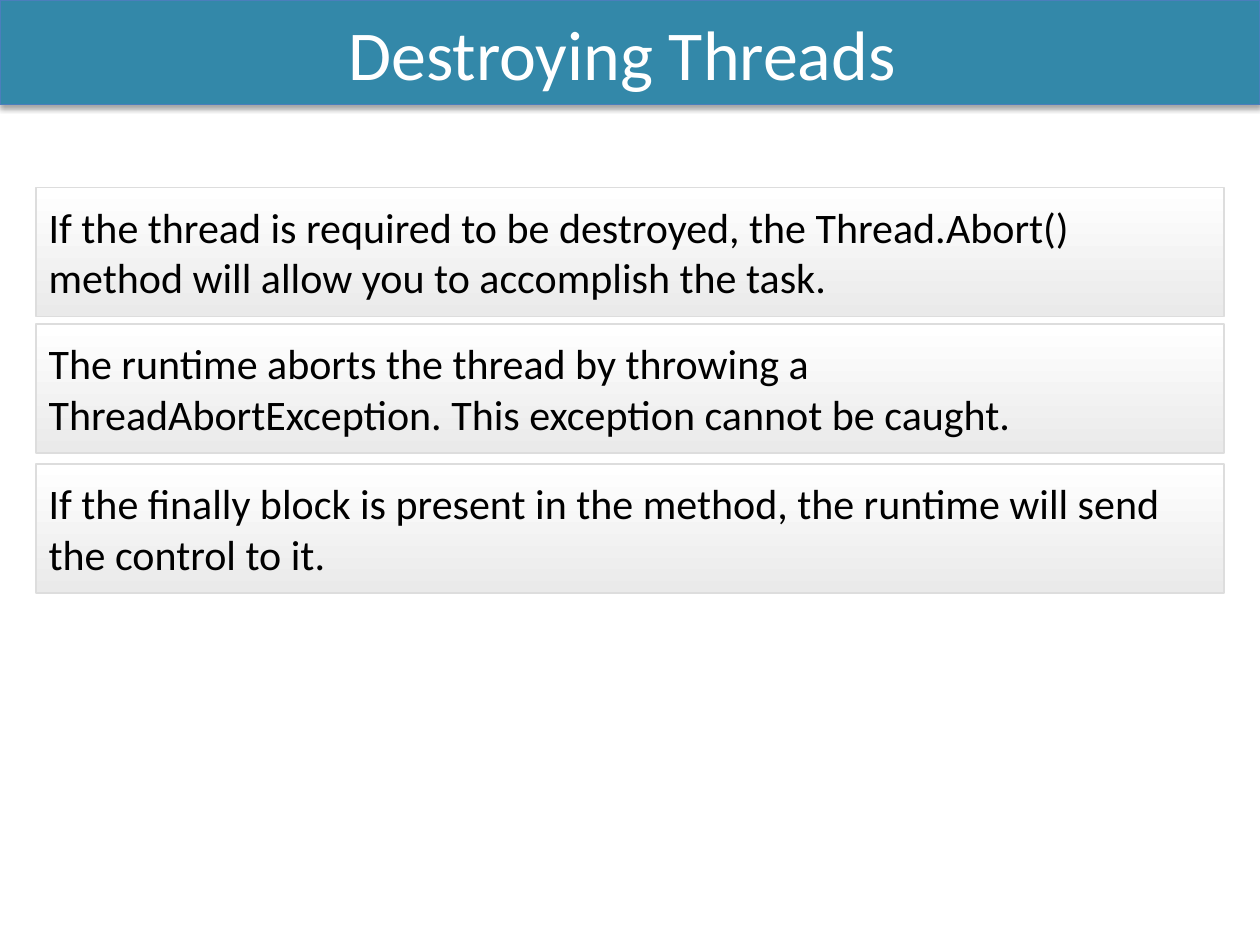
from lxml.etree import SubElement
from pptx import Presentation
from pptx.dml.color import RGBColor
from pptx.enum.shapes import MSO_SHAPE
from pptx.enum.text import MSO_ANCHOR, MSO_AUTO_SIZE, PP_ALIGN
from pptx.oxml.ns import qn
from pptx.util import Cm, Pt

COLORS = {
    "banner": "3388A9",
    "banner_line": "4B7EBC",
    "title": "FFFFFF",
    "body": "000000",
    "box_top": "FFFFFF",
    "box_bottom": "EAEAEA",
    "box_line": "DDDDDD",
    "shadow": "000000",
}

POINTS = [
    (3.78, "If the thread is required to be destroyed, the Thread.Abort() "
           "method will allow you to accomplish the task."),
    (6.53, "The runtime aborts the thread by throwing a "
           "ThreadAbortException. This exception cannot be caught."),
    (9.35, "If the finally block is present in the method, the runtime "
           "will send the control to it."),
]


def rgb(name):
    """Return the named colour."""
    return RGBColor.from_string(COLORS[name])


def set_text(sp, text, size=24, color="body", align=PP_ALIGN.LEFT):
    """Put one formatted paragraph into a shape, centred vertically."""
    tf = sp.text_frame
    tf.word_wrap = True
    tf.auto_size = MSO_AUTO_SIZE.NONE
    tf.vertical_anchor = MSO_ANCHOR.MIDDLE
    p = tf.paragraphs[0]
    p.alignment = align
    r = p.add_run()
    r.text = text
    r.font.name = "Calibri"
    r.font.size = Pt(size)
    r.font.color.rgb = rgb(color)


def set_line(sp, color, width):
    """Outline a shape."""
    sp.line.color.rgb = rgb(color)
    sp.line.width = Pt(width)


def add_shadow(sp, blur, distance, opacity):
    """Give a shape a soft shadow that falls straight down."""
    sp.shadow.inherit = False
    effects = sp._element.spPr.find(qn("a:effectLst"))
    shadow = SubElement(effects, qn("a:outerShdw"), blurRad=str(Pt(blur)),
                        dist=str(Pt(distance)), dir="5400000", rotWithShape="0")
    color = SubElement(shadow, qn("a:srgbClr"), val=COLORS["shadow"])
    SubElement(color, qn("a:alpha"), val=str(opacity * 1000))


def format_title(s, text):
    """Turn the title placeholder into a full-width banner."""
    sp = s.shapes.title
    sp.left, sp.top, sp.width, sp.height = Cm(0), Cm(0), Cm(25.4), Cm(2.11)
    sp.fill.solid()
    sp.fill.fore_color.rgb = rgb("banner")
    set_line(sp, "banner_line", 0.75)
    add_shadow(sp, blur=3.1, distance=1.8, opacity=35)
    set_text(sp, text, size=40, color="title", align=PP_ALIGN.CENTER)


def add_point(s, top, text):
    """Add a gradient box that holds one point."""
    sp = s.shapes.add_shape(MSO_SHAPE.RECTANGLE, Cm(0.73), Cm(top), Cm(23.94), Cm(2.6))
    sp.shadow.inherit = False
    sp.fill.gradient()
    sp.fill.gradient_angle = 270
    for stop, position, color in zip(sp.fill.gradient_stops, (0, 1), ("box_top", "box_bottom")):
        stop.position = position
        stop.color.rgb = rgb(color)
    set_line(sp, "box_line", 1)
    set_text(sp, text)


def main():
    """Build the slide and save it."""
    prs = Presentation()
    prs.slide_width, prs.slide_height = Cm(25.4), Cm(19.05)
    s = prs.slides.add_slide(prs.slide_layouts[5])
    format_title(s, "Destroying Threads ")
    for top, text in POINTS:
        add_point(s, top, text)
    prs.save("out.pptx")


if __name__ == "__main__":
    main()
